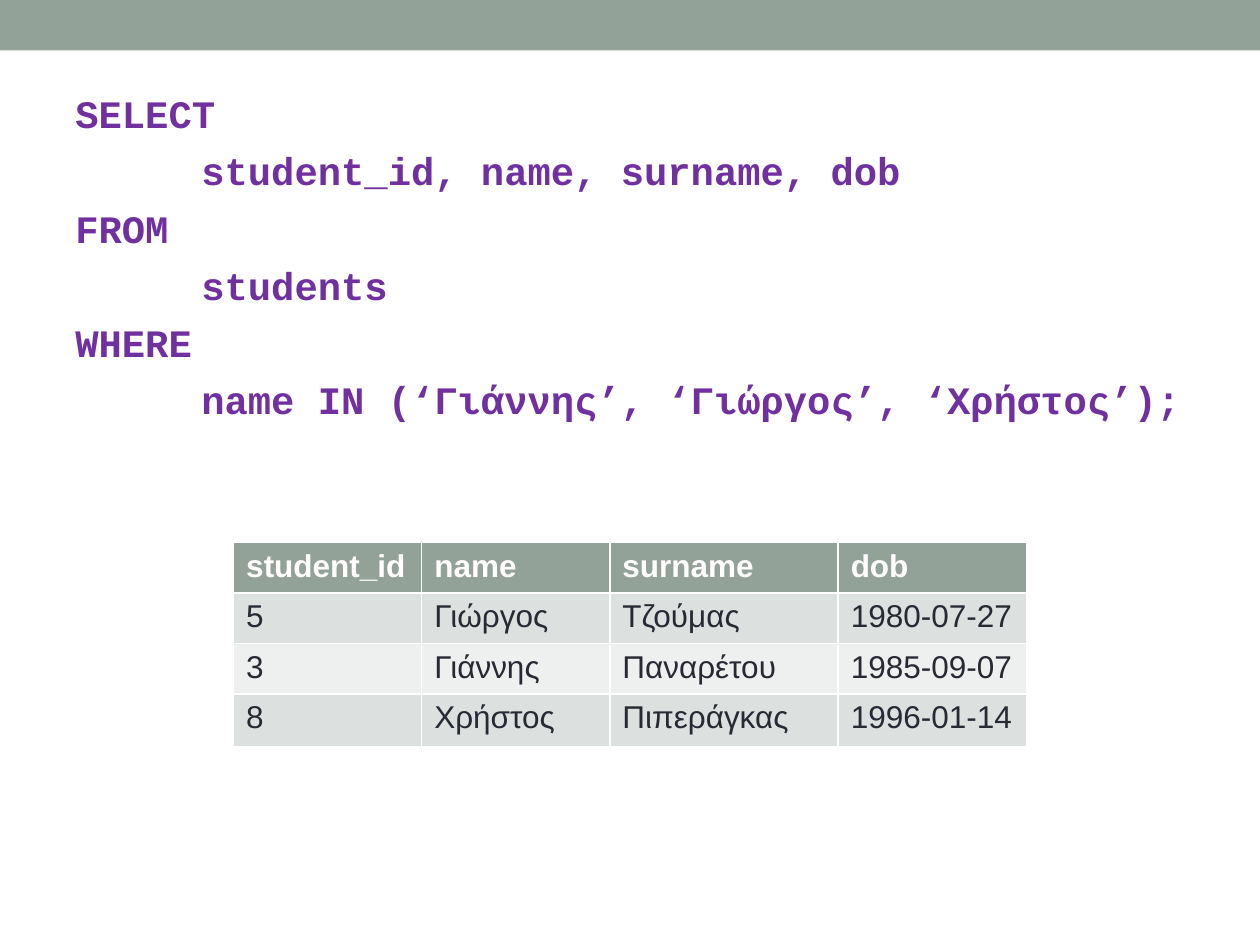
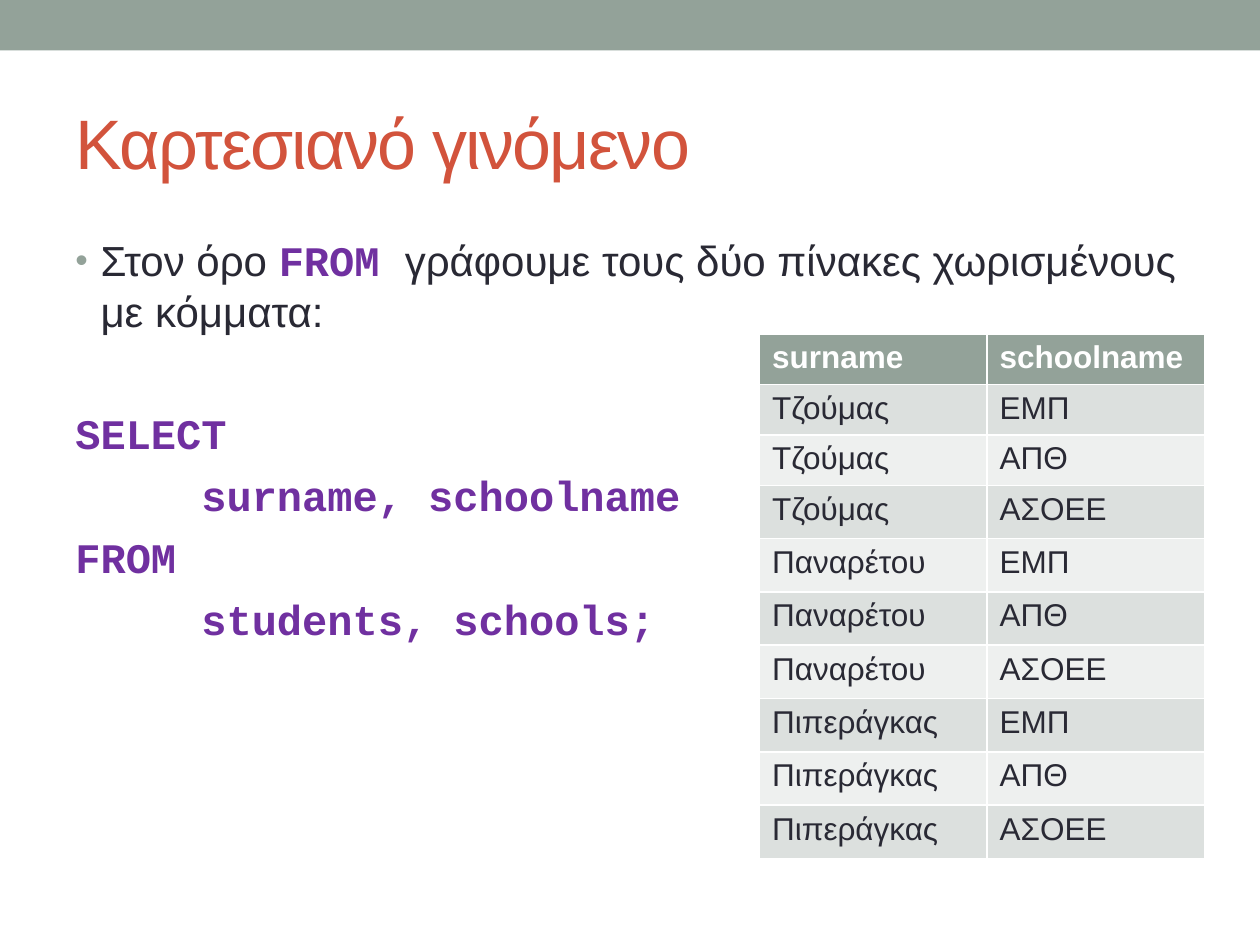
from itertools import product
from pptx import Presentation
from pptx.dml.color import RGBColor as Rgb
from pptx.enum.shapes import MSO_SHAPE as Shape
from pptx.enum.text import MSO_ANCHOR as Anchor
from pptx.oxml.ns import qn
from pptx.util import Pt
from lxml.etree import SubElement

COLORS = {
    "sage": "93A299",
    "title": "D2533C",
    "code": "7030A0",
    "ink": "292934",
    "white": "FFFFFF",
    "odd_row": "DCE0DE",
    "even_row": "EEF0EF",
}
BODY_FONT, CODE_FONT = "Arial", "Courier New"
PAGE_WIDTH, PAGE_HEIGHT = 720, 540
MARGIN = 36
BODY_WIDTH = PAGE_WIDTH - 2 * MARGIN
CODE_INDENT = 72
BULLET_INDENT = 14.4
TALL_ROW, LOW_ROW = 30.5, 27.4


def color(name):
    return Rgb.from_string(COLORS[name])


def add_span(para, text, size, color_name, font=BODY_FONT, bold=False):
    span = para.add_run()
    span.text = text
    span.font.size = Pt(size)
    span.font.name = font
    span.font.bold = bold
    span.font.color.rgb = color(color_name)
    return span


def add_text_box(page, left, top, width, height):
    box = page.shapes.add_textbox(Pt(left), Pt(top), Pt(width), Pt(height))
    box.text_frame.word_wrap = True
    return box.text_frame


def add_page(deck):
    page = deck.slides.add_slide(deck.slide_layouts[6])
    band = page.shapes.add_shape(Shape.RECTANGLE, 0, 0, Pt(PAGE_WIDTH), Pt(28.8))
    band.shadow.inherit = False
    band.fill.solid()
    band.fill.fore_color.rgb = color("sage")
    band.line.fill.background()
    return page


def add_title(page, text, left, top, width, height):
    frame = add_text_box(page, left, top, width, height)
    frame.vertical_anchor = Anchor.MIDDLE
    span = add_span(frame.paragraphs[0], text, 40, "title")
    span.font._element.set("spc", "-100")


def set_indent(para, left, first=0):
    properties = para._p.get_or_add_pPr()
    properties.set("marL", str(Pt(left)))
    properties.set("indent", str(Pt(first)))
    return properties


def add_bullet(para):
    properties = set_indent(para, BULLET_INDENT, -BULLET_INDENT)
    bullet_color = SubElement(properties, qn("a:buClr"))
    SubElement(bullet_color, qn("a:srgbClr"), val=COLORS["sage"])
    SubElement(properties, qn("a:buSzPct"), val="85000")
    SubElement(properties, qn("a:buFont"), typeface=BODY_FONT)
    SubElement(properties, qn("a:buChar"), char="•")


def add_query(frame, clauses, size, gap, first_gap=0):
    lines = [line for clause in clauses for line in zip(clause, (0, CODE_INDENT))]
    for number, (text, indent) in enumerate(lines):
        starts_box = number == 0 and not frame.text
        para = frame.paragraphs[0] if starts_box else frame.add_paragraph()
        set_indent(para, indent)
        if not starts_box:
            para.space_before = Pt(gap if number else first_gap)
        add_span(para, text, size, "code", CODE_FONT, True)


def add_result_table(page, rows, left, top, widths, heights):
    row_count, column_count = len(rows), len(widths)
    table = page.shapes.add_table(
        row_count, column_count, Pt(left), Pt(top), Pt(sum(widths)), Pt(sum(heights))
    ).table
    for column, width in zip(table.columns, widths):
        column.width = Pt(width)
    for row, height in zip(table.rows, heights):
        row.height = Pt(height)
    for r, c in product(range(row_count), range(column_count)):
        cell = table.cell(r, c)
        header = r == 0
        fill_name = "sage" if header else "odd_row" if r % 2 else "even_row"
        cell.fill.solid()
        cell.fill.fore_color.rgb = color(fill_name)
        text_color = "white" if header else "ink"
        add_span(cell.text_frame.paragraphs[0], rows[r][c], 18, text_color, bold=header)


def build_in_page(deck):
    page = add_page(deck)
    frame = add_text_box(page, MARGIN, 43.2, BODY_WIDTH, 209.5)
    frame.margin_top = Pt(8.2)
    clauses = [
        ("SELECT", "student_id, name, surname, dob"),
        ("FROM", "students"),
        ("WHERE", "name IN (‘Γιάννης’, ‘Γιώργος’, ‘Χρήστος’);"),
    ]
    add_query(frame, clauses, 22.2, 6)
    rows = [
        ("student_id", "name", "surname", "dob"),
        ("5", "Γιώργος", "Τζούμας", "1980-07-27"),
        ("3", "Γιάννης", "Παναρέτου", "1985-09-07"),
        ("8", "Χρήστος", "Πιπεράγκας", "1996-01-14"),
    ]
    widths = [107.5, 107.5, 130.5, 107.5]
    add_result_table(page, rows, 133.5, 310, widths, [LOW_ROW] * 3 + [TALL_ROW])


def build_product_page(deck):
    page = add_page(deck)
    add_title(page, "Καρτεσιανό γινόμενο", MARGIN, 41.8, BODY_WIDTH, 77.8)
    frame = add_text_box(page, MARGIN, 126, BODY_WIDTH, 252)
    frame.margin_top = Pt(8.2)
    para = frame.paragraphs[0]
    add_bullet(para)
    add_span(para, "Στον όρο ", 24, "ink")
    add_span(para, "FROM ", 24, "code", CODE_FONT, True)
    add_span(para, "γράφουμε τους δύο πίνακες χωρισμένους με κόμματα:", 24, "ink")
    clauses = [("SELECT", "surname, schoolname"), ("FROM", "students, schools;")]
    add_query(frame, clauses, 24, 6.7, 41)
    surnames = ("Τζούμας", "Παναρέτου", "Πιπεράγκας")
    schools = ("ΕΜΠ", "ΑΠΘ", "ΑΣΟΕΕ")
    rows = [("surname", "schoolname"), *product(surnames, schools)]
    heights = [LOW_ROW] * 3 + [TALL_ROW] * 7
    add_result_table(page, rows, 434, 190.8, [130, 124.5], heights)


def main():
    deck = Presentation()
    deck.slide_width, deck.slide_height = Pt(PAGE_WIDTH), Pt(PAGE_HEIGHT)
    build_in_page(deck)
    build_product_page(deck)
    deck.save("out.pptx")


if __name__ == "__main__":
    main()
